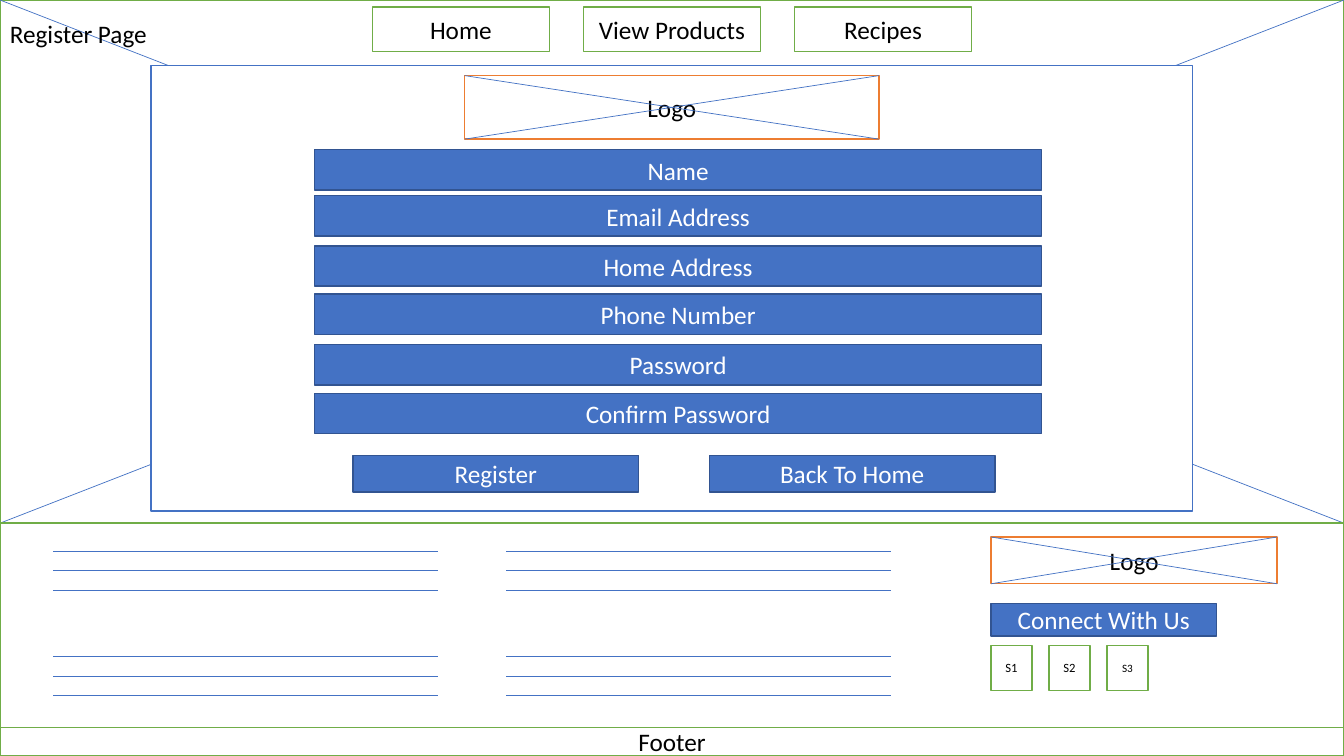
from itertools import product
from lxml.etree import SubElement
from pptx import Presentation
from pptx.dml.color import RGBColor
from pptx.enum.shapes import MSO_CONNECTOR, MSO_SHAPE
from pptx.enum.text import MSO_ANCHOR, PP_ALIGN
from pptx.oxml.ns import qn
from pptx.util import Pt

# Content: lengths in points
WIDE, HIGH = 960, 540
COLORS = {"white": "FFFFFF", "black": "000000", "blue": "4472C4",
          "navy": "325491", "green": "70AD47", "orange": "ED7D31"}
STYLES = {  # fill, outline, text
    "plain": ("white", "green", "black"),
    "panel": ("white", "blue", "black"),
    "logo": ("white", "orange", "black"),
    "button": ("blue", "navy", "white"),
}
TITLE = "Register Page"
HERO = (0, 0, WIDE, 373.7)
PANEL = (108, 46.8, 743.8, 318.2)
LOWER = (0, 373.7, WIDE, 166.3)
FOOTER = (0, 519.6, WIDE, 20.4)
LOGOS = [(331.9, 54, 296, 45.4), (708, 383.6, 204.2, 33.4)]
MENU = ["Home", "View Products", "Recipes"]
FIELDS = [("Name", 107), ("Email Address", 139.9), ("Home Address", 175.6),
          ("Phone Number", 210), ("Password", 246.2),
          ("Confirm Password", 281)]
ACTIONS = ["Register", "Back To Home"]
SOCIAL = [("S1", 9), ("S2", 9), ("S3", 8)]
COLUMNS = [38, 361.5]
BLOCKS = [393.5, 468.7]

deck = Presentation()
deck.slide_width, deck.slide_height = Pt(WIDE), Pt(HIGH)
slide = deck.slides.add_slide(deck.slide_layouts[6])


def color(name):
    return RGBColor.from_string(COLORS[name])


def write(frame, text, size, ink, align):
    para = frame.paragraphs[0]
    para.text = text
    para.alignment = align
    para.font.name = "Calibri"
    para.font.size = Pt(size)
    para.font.color.rgb = color(ink)


def box(area, style, text="", size=18):
    fill, edge, ink = STYLES[style]
    shape = slide.shapes.add_shape(MSO_SHAPE.RECTANGLE, *map(Pt, area))
    shape.shadow.inherit = False
    shape.fill.solid()
    shape.fill.fore_color.rgb = color(fill)
    shape.line.color.rgb = color(edge)
    shape.line.width = Pt(1)
    if text:
        frame = shape.text_frame
        frame.margin_left = frame.margin_right = 0
        frame.vertical_anchor = MSO_ANCHOR.MIDDLE
        write(frame, text, size, ink, PP_ALIGN.CENTER)


def rule(*ends):
    line = slide.shapes.add_connector(MSO_CONNECTOR.STRAIGHT, *map(Pt, ends))
    line.line.color.rgb = color("blue")
    line.line.width = Pt(0.5)
    SubElement(line._element.spPr, qn("a:effectLst"))


def cross(left, top, width, height):
    right, base = left + width, top + height
    rule(left, top, right, base)
    rule(left, base, right, top)


# Page areas
box(HERO, "plain")
cross(*HERO)
box(PANEL, "panel")
box(LOWER, "plain")
box(FOOTER, "plain", "Footer")

# Logo frames
for area in LOGOS:
    box(area, "logo", "Logo")
    cross(*area)

# Title and menu
label = slide.shapes.add_textbox(0, Pt(9.4), Pt(129), Pt(29))
label.text_frame.word_wrap = True
write(label.text_frame, TITLE, 18, "black", PP_ALIGN.LEFT)
for i, text in enumerate(MENU):
    box((265.9 + 150.8 * i, 5, 126.7, 31.7), "plain", text)

# Form
for text, top in FIELDS:
    box((224.8, top, 519.2, 28.8), "button", text)
for i, text in enumerate(ACTIONS):
    box((252.2 + 254.5 * i, 325.2, 204, 26.2), "button", text)

# Lines standing for text in the lower area
for left, top, row in product(COLUMNS, BLOCKS, range(3)):
    y = top + 14.1 * row
    rule(left, y, left + 275, y)

# Contact links
box((707.8, 431.2, 161.3, 23.2), "button", "Connect With Us")
for i, (text, size) in enumerate(SOCIAL):
    box((707.8 + 41.4 * i, 460.9, 29.4, 32.3), "plain", text, size)

deck.save("out.pptx")
